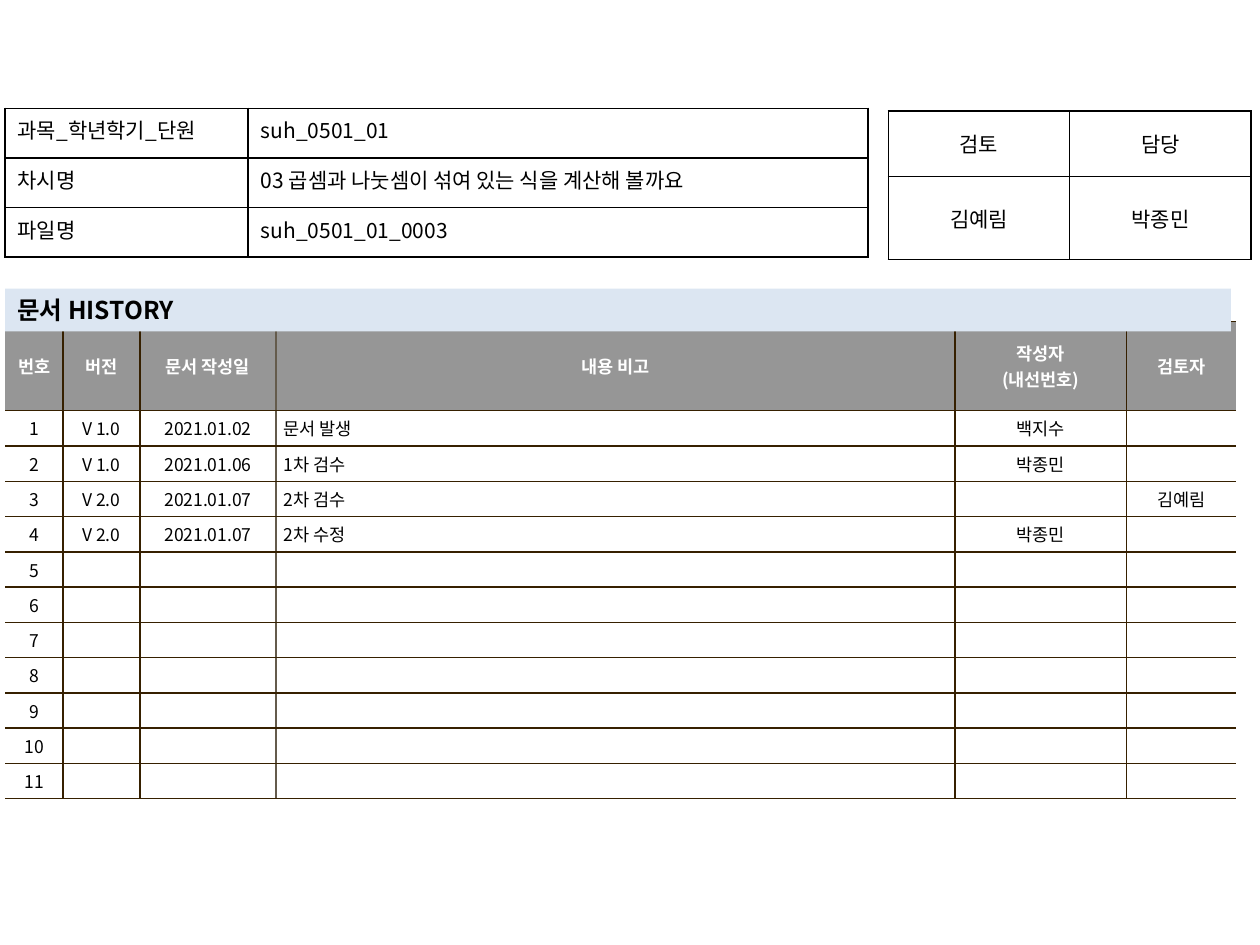
from lxml.etree import SubElement
from pptx import Presentation
from pptx.dml.color import RGBColor as RGB
from pptx.enum.shapes import MSO_SHAPE as Shape
from pptx.enum.text import MSO_ANCHOR as Anchor, PP_ALIGN as Align
from pptx.oxml.ns import qn
from pptx.util import Inches, Pt

# The slide is a grid of 100 columns by 75 rows
COLS, ROWS = 100, 75
UNIT = Inches(0.1)
FONT = "Noto Sans CJK KR"
COLORS = {
    "black": "000000", "white": "FFFFFF", "header": "969696",
    "title": "DCE6F2", "rule": "362000", "soft_rule": "645B4C",
}
LEFT, CENTER, JUSTIFY = Align.LEFT, Align.CENTER, Align.JUSTIFY

INFO = [
    ("과목_학년학기_단원", "suh_0501_01"),
    ("차시명", "03 곱셈과 나눗셈이 섞여 있는 식을 계산해 볼까요"),
    ("파일명", "suh_0501_01_0003"),
]
REVIEW = [("검토", "담당"), ("김예림", "박종민")]
HEADINGS = ("번호", "버전", "문서 작성일", "내용 비고", "작성자\n(내선번호)", "검토자")
ENTRIES = [
    ("V 1.0", "2021.01.02", "문서 발생", "백지수", ""),
    ("V 1.0", "2021.01.06", "1차 검수", "박종민", ""),
    ("V 2.0", "2021.01.07", "2차 검수", "", "김예림"),
    ("V 2.0", "2021.01.07", "2차 수정", "박종민", ""),
]
ENTRY_COUNT = 11


def grid(n):
    return round(n * UNIT)


def rgb(name):
    return RGB.from_string(COLORS[name])


def write(tf, text, size, color="black", bold=False, align=LEFT):
    """Fill a text frame, one paragraph for each line."""
    for i, line in enumerate(text.split("\n")):
        p = tf.paragraphs[0] if i == 0 else tf.add_paragraph()
        p.alignment = align
        if not line:
            # An empty cell keeps the height of its text size
            p._p.get_or_add_endParaRPr().set("sz", str(size * 100))
            continue
        r = p.add_run()
        r.text = line
        for key, value in {"size": Pt(size), "bold": bold, "name": FONT}.items():
            setattr(r.font, key, value)
        r.font.color.rgb = rgb(color)
        SubElement(r._r.get_or_add_rPr(), qn("a:ea"), typeface=FONT)


def set_borders(cell, borders):
    """Draw the four sides in the order left, right, top, bottom."""
    tcPr = cell._tc.get_or_add_tcPr()
    for side, color in zip("LRTB", borders):
        ln = SubElement(tcPr, qn(f"a:ln{side}"), w=str(Pt(1)))
        if color:
            fill = SubElement(ln, qn("a:solidFill"))
            SubElement(fill, qn("a:srgbClr"), val=COLORS[color])
        else:
            SubElement(ln, qn("a:noFill"))


def add_table(slide, x, y, widths, heights, data, style):
    """style(row, column) gives text, margins, anchor, borders and fill."""
    frame = slide.shapes.add_table(
        len(heights), len(widths), grid(x), grid(y),
        grid(sum(widths)), grid(sum(heights)))
    table = frame.table
    table.first_row = table.horz_banding = False
    for col, width in zip(table.columns, widths):
        col.width = grid(width)
    for row, height in zip(table.rows, heights):
        row.height = grid(height)
    for i, values in enumerate(data):
        for j, value in enumerate(values):
            cell, look = table.cell(i, j), style(i, j)
            mx, my = look["margins"]
            layout = {
                "margin_left": grid(mx), "margin_right": grid(mx),
                "margin_top": grid(my), "margin_bottom": grid(my),
                "vertical_anchor": look["anchor"],
            }
            for key, setting in layout.items():
                setattr(cell, key, setting)
            write(cell.text_frame, value, **look["text"])
            set_borders(cell, look["borders"])
            if look["fill"]:
                cell.fill.solid()
                cell.fill.fore_color.rgb = rgb(look["fill"])
            else:
                cell.fill.background()


def boxed_style(align, anchor):
    return {"text": {"size": 12, "align": align}, "margins": (1, 0.5),
            "anchor": anchor, "borders": ["black"] * 4, "fill": None}


def info_style(i, j):
    return boxed_style(LEFT if j else JUSTIFY, Anchor.TOP)


def review_style(i, j):
    return boxed_style(CENTER, Anchor.MIDDLE)


def history_style(i, j):
    head, last = i == 0, len(HEADINGS) - 1
    # Open at both outer sides, a softer rule before the notes
    edges = [None, "rule", "rule", "soft_rule", "rule", "rule", None]
    return {
        "text": {"size": 10, "bold": head,
                 "color": "white" if head else "black",
                 "align": LEFT if j == 3 and not head else CENTER},
        "margins": (0.6, 0.4),
        "anchor": Anchor.MIDDLE,
        "borders": [edges[j], edges[j + 1] if j < last else None, "rule", "rule"],
        "fill": "header" if head else "white",
    }


def add_title_bar(slide, x, y, w, h, text):
    sp = slide.shapes.add_shape(Shape.RECTANGLE, *map(grid, (x, y, w, h)))
    sp.shadow.inherit = False
    sp.fill.solid()
    sp.fill.fore_color.rgb = rgb("title")
    sp.line.fill.background()
    tf = sp.text_frame
    tf.word_wrap = True
    tf.vertical_anchor = Anchor.MIDDLE
    write(tf, text, 14, bold=True)


def history_rows():
    blank = ("",) * (len(HEADINGS) - 1)
    entries = ENTRIES + [blank] * (ENTRY_COUNT - len(ENTRIES))
    return [HEADINGS] + [(str(n), *e) for n, e in enumerate(entries, 1)]


def main():
    prs = Presentation()
    prs.slide_width, prs.slide_height = grid(COLS), grid(ROWS)
    slide = prs.slides.add_slide(prs.slide_layouts[6])

    # Document history, with the title bar over its top edge
    add_table(slide, 0.4, 25.5, [4.6, 6.1, 10.8, 53.9, 13.6, 8.7],
              [7.1] + [2.8] * ENTRY_COUNT, history_rows(), history_style)
    # Reviewer and person in charge
    add_table(slide, 70.5, 8.8, [14.4] * 2, [5.2, 6.6], REVIEW, review_style)
    add_title_bar(slide, 0.4, 22.9, 97.3, 3.4, "문서 HISTORY")
    # Lesson details
    add_table(slide, 0.4, 8.6, [19.3, 49.2], [3.94] * 3, INFO, info_style)

    prs.save("out.pptx")


if __name__ == "__main__":
    main()
